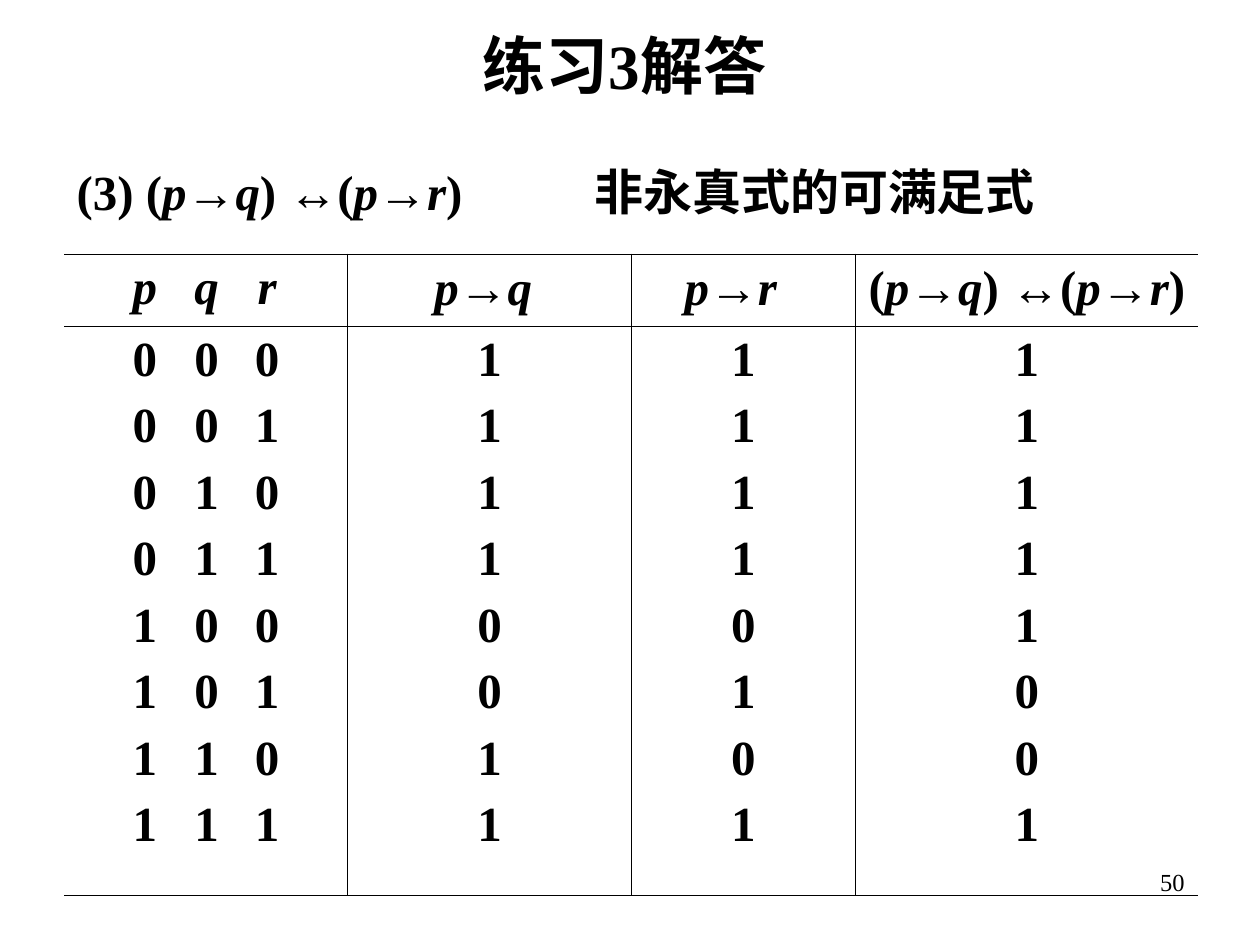
from itertools import groupby

from lxml.etree import SubElement
from pptx import Presentation
from pptx.dml.color import RGBColor
from pptx.enum.text import MSO_ANCHOR as Anchor, PP_ALIGN as Align
from pptx.oxml.ns import qn
from pptx.util import Inches, Pt

BLACK = RGBColor(0x00, 0x00, 0x00)
SERIF, SANS = "Times New Roman", "Arial"
ARROWS, VARIABLES = "→↔", "pqr"
FORMULA = "(p→q) ↔(p→r)"
VARIABLE_STOPS = (0.54, 1.03, 1.51)
COLUMN_WIDTHS = (2.25, 2.25, 1.78, 2.72)
ROW_HEIGHTS = (0.57, 4.52)
HEADINGS = ("\tp\tq\tr", "p→q", "p→r", FORMULA)
HEADING_RIGHT_MARGINS = (0.1, 0.2, 0.3, 0.1)
RULE, TOP_RULE = 0.45, 1.08


def write_text(frame, lines, size=28, bold=True, align=Align.LEFT,
               sans=ARROWS, italic=VARIABLES, gap=0, stops=()):
    """Write lines, choosing font and slant for each character group."""
    for index, line in enumerate(lines):
        paragraph = frame.paragraphs[0] if index == 0 else frame.add_paragraph()
        if stops:
            tab_list = SubElement(paragraph._p.get_or_add_pPr(), qn("a:tabLst"))
            for stop in stops:
                SubElement(tab_list, qn("a:tab"), pos=str(Inches(stop)), algn="ctr")
        paragraph.alignment = align
        if index and gap:
            paragraph.space_before = Pt(gap)
        for (is_sans, is_italic), letters in groupby(
                line, key=lambda letter: (letter in sans, letter in italic)):
            run = paragraph.add_run()
            run.text = "".join(letters)
            font = run.font
            font.name = SANS if is_sans else SERIF
            font.size, font.bold, font.italic = Pt(size), bold, is_italic
            font.color.rgb = BLACK


def add_text(slide, left, top, width, height, text, inset=True,
             anchor=Anchor.TOP, **text_format):
    """Add a text box with one line of formatted text."""
    frame = slide.shapes.add_textbox(
        Inches(left), Inches(top), Inches(width), Inches(height)).text_frame
    frame.word_wrap, frame.vertical_anchor = True, anchor
    if not inset:
        frame.margin_left = frame.margin_right = 0
        frame.margin_top = frame.margin_bottom = 0
    write_text(frame, [text], **text_format)


def set_borders(cell, **widths):
    """Draw the given sides of a cell and hide the others."""
    properties = cell._tc.get_or_add_tcPr()
    for side in "LRTB":
        width = widths.get(side, 0)
        line = SubElement(properties, qn(f"a:ln{side}"), w=str(Pt(width)))
        if width:
            fill = SubElement(line, qn("a:solidFill"))
            SubElement(fill, qn("a:srgbClr"), val=str(BLACK))
        else:
            SubElement(line, qn("a:noFill"))


def add_truth_table(slide):
    """Add the truth table with one text column per cell."""
    rows = [(p, q, r) for p in (0, 1) for q in (0, 1) for r in (0, 1)]
    p_to_q = [int(not p or q) for p, q, r in rows]
    p_to_r = [int(not p or r) for p, q, r in rows]
    both = [int(a == b) for a, b in zip(p_to_q, p_to_r)]
    assignments = ["".join(f"\t{value}" for value in row) for row in rows]
    bodies = [assignments] + [list(map(str, column)) for column in (p_to_q, p_to_r, both)]

    table = slide.shapes.add_table(
        2, 4, Inches(0.51), Inches(2.02), Inches(9), Inches(sum(ROW_HEIGHTS))).table
    table.first_row = table.horz_banding = False
    for row, height in zip(table.rows, ROW_HEIGHTS):
        row.height = Inches(height)
    for index, width in enumerate(COLUMN_WIDTHS):
        table.columns[index].width = Inches(width)
        for row, lines in enumerate(([HEADINGS[index]], bodies[index])):
            cell = table.cell(row, index)
            set_borders(cell, L=RULE if index else 0, R=RULE if index < 3 else 0,
                        T=RULE if row else TOP_RULE, B=RULE)
            cell.fill.background()
            write_text(cell.text_frame, lines, gap=7,
                       align=Align.CENTER if index else Align.LEFT,
                       stops=() if index else VARIABLE_STOPS)
        table.cell(0, index).margin_right = Inches(HEADING_RIGHT_MARGINS[index])


def main():
    """Build and save the slide."""
    deck = Presentation()
    deck.slide_width, deck.slide_height = Inches(10), Inches(7.5)
    slide = deck.slides.add_slide(deck.slide_layouts[6])
    add_text(slide, 1.61, 0.28, 6.69, 0.46, "练习3解答", inset=False,
             anchor=Anchor.MIDDLE, size=36, align=Align.CENTER, sans="练习")
    add_text(slide, 0.51, 1.23, 4, 0.57, f"(3) {FORMULA}")
    add_text(slide, 4.62, 1.23, 3.9, 0.57, "非永真式的可满足式",
             anchor=Anchor.MIDDLE)
    add_truth_table(slide)
    add_text(slide, 7.17, 6.83, 2.33, 0.52, "50", size=14, bold=False,
             align=Align.RIGHT)
    deck.save("out.pptx")


if __name__ == "__main__":
    main()
